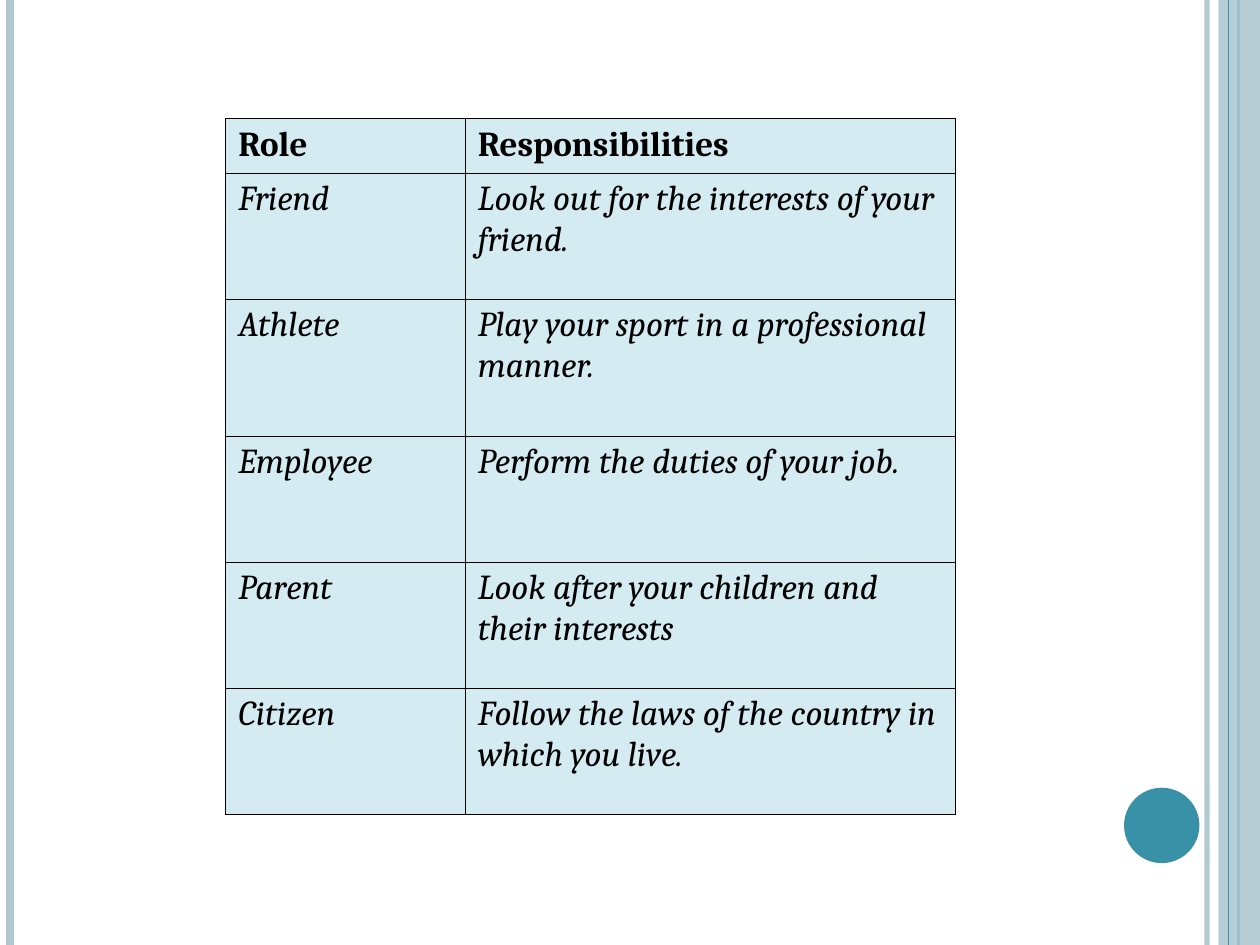
from lxml import etree
from pptx import Presentation
from pptx.dml.color import RGBColor
from pptx.enum.dml import MSO_FILL
from pptx.enum.shapes import MSO_CONNECTOR, MSO_SHAPE
from pptx.oxml.ns import qn
from pptx.util import Cm, Pt

STRAIGHT = MSO_CONNECTOR.STRAIGHT
RECTANGLE, OVAL = MSO_SHAPE.RECTANGLE, MSO_SHAPE.OVAL
SOLID = MSO_FILL.SOLID
WIDTH, HEIGHT = 25.4, 19.05
COLORS = {"mist": "AEC7D0", "teal": "3891A7", "cell": "D4EBF1", "ink": "000000"}

ROLES = [
    ("Role", "Responsibilities"),
    ("Friend", "Look out for the interests of your friend."),
    ("Athlete", "Play your sport in a professional manner."),
    ("Employee", "Perform the duties of your job."),
    ("Parent", "Look after your children and their interests"),
    ("Citizen", "Follow the laws of the country in which you live."),
]
COLUMN_WIDTHS = [4.83, 9.88]
ROW_HEIGHTS = [1.1, 2.54, 2.76, 2.54, 2.54, 2.54]


def rgb(name):
    return RGBColor.from_string(COLORS[name])


def set_alpha(fill_parent, percent):
    """Make the solid fill below an element partly transparent."""
    color = next(fill_parent.iter(qn("a:srgbClr")))
    etree.SubElement(color, qn("a:alpha"), val=str(percent * 1000))


def write_text(frame, text, font="Cambria", size=20, color="ink", bold=False, italic=False):
    span = frame.paragraphs[0].add_run()
    span.text = text
    span.font.name = font
    span.font.size = Pt(size)
    span.font.color.rgb = rgb(color)
    span.font.bold = bold
    span.font.italic = italic


class SlideBuilder:
    def __init__(self, page, border_width=0.45):
        self.page = page
        self.border_width = border_width

    def vertical_line(self, x, color, width, alpha=None):
        line = self.page.shapes.add_connector(STRAIGHT, Cm(x), Cm(0), Cm(x), Cm(HEIGHT))
        line.line.color.rgb = rgb(color)
        line.line.width = Pt(width)
        properties = line._element.spPr
        if alpha is not None:
            set_alpha(properties, alpha)
        etree.SubElement(properties, qn("a:effectLst"))

    def shape(self, kind, left, top, width, height, color, alpha=None):
        shape = self.page.shapes.add_shape(kind, Cm(left), Cm(top), Cm(width), Cm(height))
        shape.shadow.inherit = False
        shape.fill.solid()
        shape.fill.fore_color.rgb = rgb(color)
        shape.line.fill.background()
        if alpha is not None:
            set_alpha(shape._element.spPr, alpha)

    def cell_borders(self, cell):
        properties = cell._tc.get_or_add_tcPr()
        for position, side in enumerate(("a:lnL", "a:lnR", "a:lnT", "a:lnB")):
            border = etree.Element(qn(side), w=str(int(Pt(self.border_width))))
            fill = etree.SubElement(border, qn("a:solidFill"))
            etree.SubElement(fill, qn("a:srgbClr"), val=COLORS["ink"])
            properties.insert(position, border)

    def table(self, left, top, rows, widths, heights):
        frame = self.page.shapes.add_table(
            len(rows), len(widths), Cm(left), Cm(top), Cm(sum(widths)), Cm(sum(heights)))
        table = frame.table
        for column, width in zip(table.columns, widths):
            column.width = Cm(width)
        for row, height in zip(table.rows, heights):
            row.height = Cm(height)
        for row_index, texts in enumerate(rows):
            header = row_index == 0
            for column_index, text in enumerate(texts):
                cell = table.cell(row_index, column_index)
                cell.fill.solid()
                cell.fill.fore_color.rgb = rgb("cell")
                self.cell_borders(cell)
                write_text(cell.text_frame, text, bold=header, italic=not header)


def main():
    deck = Presentation()
    deck.slide_width, deck.slide_height = Cm(WIDTH), Cm(HEIGHT)
    builder = SlideBuilder(deck.slides.add_slide(deck.slide_layouts[6]))

    # Side stripes
    builder.vertical_line(24.33, "mist", 3, alpha=93)
    builder.vertical_line(0.2, "mist", 4.5)
    builder.vertical_line(24.97, "teal", 1.5)
    builder.shape(RECTANGLE, 24.56, 0, WIDTH - 24.56, HEIGHT, "mist", alpha=87)
    builder.vertical_line(24.77, "teal", 0.75)

    # Corner disc
    builder.shape(OVAL, 22.66, 15.88, 1.52, 1.52, "teal")

    # Roles and responsibilities
    builder.table(4.55, 2.39, ROLES, COLUMN_WIDTHS, ROW_HEIGHTS)

    deck.save("out.pptx")


if __name__ == "__main__":
    main()
